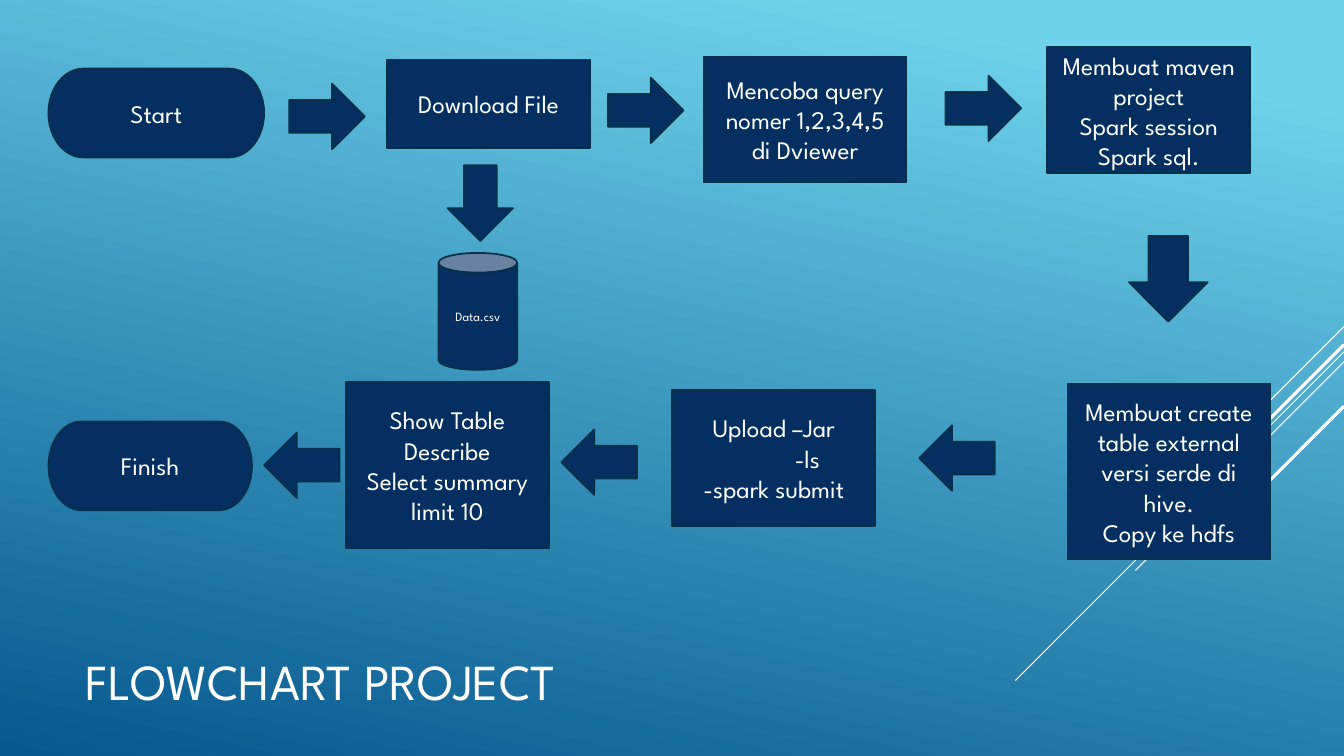
from lxml import etree
from pptx import Presentation
from pptx.dml.color import RGBColor
from pptx.enum.shapes import MSO_CONNECTOR, MSO_SHAPE as Shape
from pptx.enum.text import MSO_ANCHOR as Anchor, PP_ALIGN as Align
from pptx.oxml.ns import qn
from pptx.util import Pt

WHITE = RGBColor(0xFF, 0xFF, 0xFF)
NAVY = RGBColor(0x05, 0x2F, 0x61)
EDGE = RGBColor(0x04, 0x31, 0x48)
SKY = RGBColor(0x6E, 0xD2, 0xEB)
OCEAN = RGBColor(0x06, 0x58, 0x8E)
WIDTH, HEIGHT = 960, 540
BOX_W = 145

DIAGONALS = [
    (233.3, 72, 0.75),
    (251.3, 234.7, 0.75),
    (258.5, 149, 0.75),
    (246.2, 137.5, 2.25),
    (290.2, 100, 2.25),
]
STEPS = [
    (276.5, 42.5, 63.4, "Download File"),
    (502.6, 40.3, 90, "Mencoba query nomer 1,2,3,4,5 di Dviewer"),
    (748.1, 33.8, 90, "Membuat maven project\nSpark session\nSpark sql."),
    (762.5, 274.3, 125.3,
     "Membuat create table external versi serde di hive.\nCopy ke hdfs"),
    (247, 272.9, 118.8, "Show Table\nDescribe\nSelect summary limit 10"),
]
ARROWS = [
    (206.6, 59.8, 0),
    (434.2, 55.4, 0),
    (675.4, 54, 0),
    (656.6, 303.8, 180),
    (401, 306.7, 180),
    (316.1, 121.7, 90),
    (188.6, 308.9, 180),
]


class FlowSlide:
    font = "League Spartan"

    def __init__(self, prs):
        self.s = prs.slides.add_slide(prs.slide_layouts[6])

    def background(self, angle, *stops):
        fill = self.s.background.fill
        fill.gradient()
        fill.gradient_angle = angle
        for stop, (position, color) in zip(fill.gradient_stops, stops):
            stop.position = position
            stop.color.rgb = color

    def label(self, sp, text, size, align):
        tf = sp.text_frame
        tf.word_wrap = True
        tf.vertical_anchor = Anchor.MIDDLE
        tf.text = text
        for p in tf.paragraphs:
            p.alignment = align
            for r in p.runs:
                r.font.name = self.font
                r.font.size = Pt(size)
                r.font.color.rgb = WHITE

    def title(self, x, y, w, h, text):
        sp = self.s.shapes.add_textbox(Pt(x), Pt(y), Pt(w), Pt(h))
        self.label(sp, text, 36, Align.LEFT)

    def diagonal(self, y, length, weight):
        line = self.s.shapes.add_connector(
            MSO_CONNECTOR.STRAIGHT,
            Pt(WIDTH), Pt(y), Pt(WIDTH - length), Pt(y + length))
        line.line.color.rgb = WHITE
        line.line.width = Pt(weight)
        etree.SubElement(line._element.spPr, qn("a:effectLst"))

    def shape(self, kind, x, y, w, h, text="", size=18, rotation=0):
        sp = self.s.shapes.add_shape(kind, Pt(x), Pt(y), Pt(w), Pt(h))
        sp.shadow.inherit = False
        sp.rotation = rotation
        sp.fill.solid()
        sp.fill.fore_color.rgb = NAVY
        sp.line.color.rgb = EDGE
        sp.line.width = Pt(1.25)
        if text:
            self.label(sp, text, size, Align.CENTER)
        return sp

    def step(self, x, y, h, text):
        return self.shape(Shape.RECTANGLE, x, y, BOX_W, h, text)

    def arrow(self, x, y, rotation):
        self.shape(Shape.RIGHT_ARROW, x, y, 54, 46.8, rotation=rotation)

    def terminator(self, y, w, text):
        self.shape(Shape.FLOWCHART_TERMINATOR, 34.6, y, w, 63.4, text)

    def indent(self, p, left):
        p._p.get_or_add_pPr().set("marL", str(Pt(left)))


def main():
    prs = Presentation()
    prs.slide_width, prs.slide_height = Pt(WIDTH), Pt(HEIGHT)
    flow = FlowSlide(prs)
    flow.background(258, (0.1, SKY), (1, OCEAN))
    for diagonal in DIAGONALS:
        flow.diagonal(*diagonal)
    flow.title(54, 449.3, 671.8, 73.4, "FLOWCHART PROJECT")
    for step in STEPS:
        flow.step(*step)
    upload = flow.step(480.2, 278.6, 97.2, "Upload –Jar\n-ls\n-spark submit")
    flow.indent(upload.text_frame.paragraphs[1], 48)
    flow.shape(Shape.CAN, 313.2, 180.7, 56.2, 83.5, "Data.csv", 9)
    for arrow in ARROWS:
        flow.arrow(*arrow)
    flow.shape(Shape.DOWN_ARROW, 806.4, 168.5, 56.2, 61.2)
    flow.terminator(49, 154.1, "Start")
    flow.terminator(301, 145.4, "Finish")
    prs.save("out.pptx")


if __name__ == "__main__":
    main()
